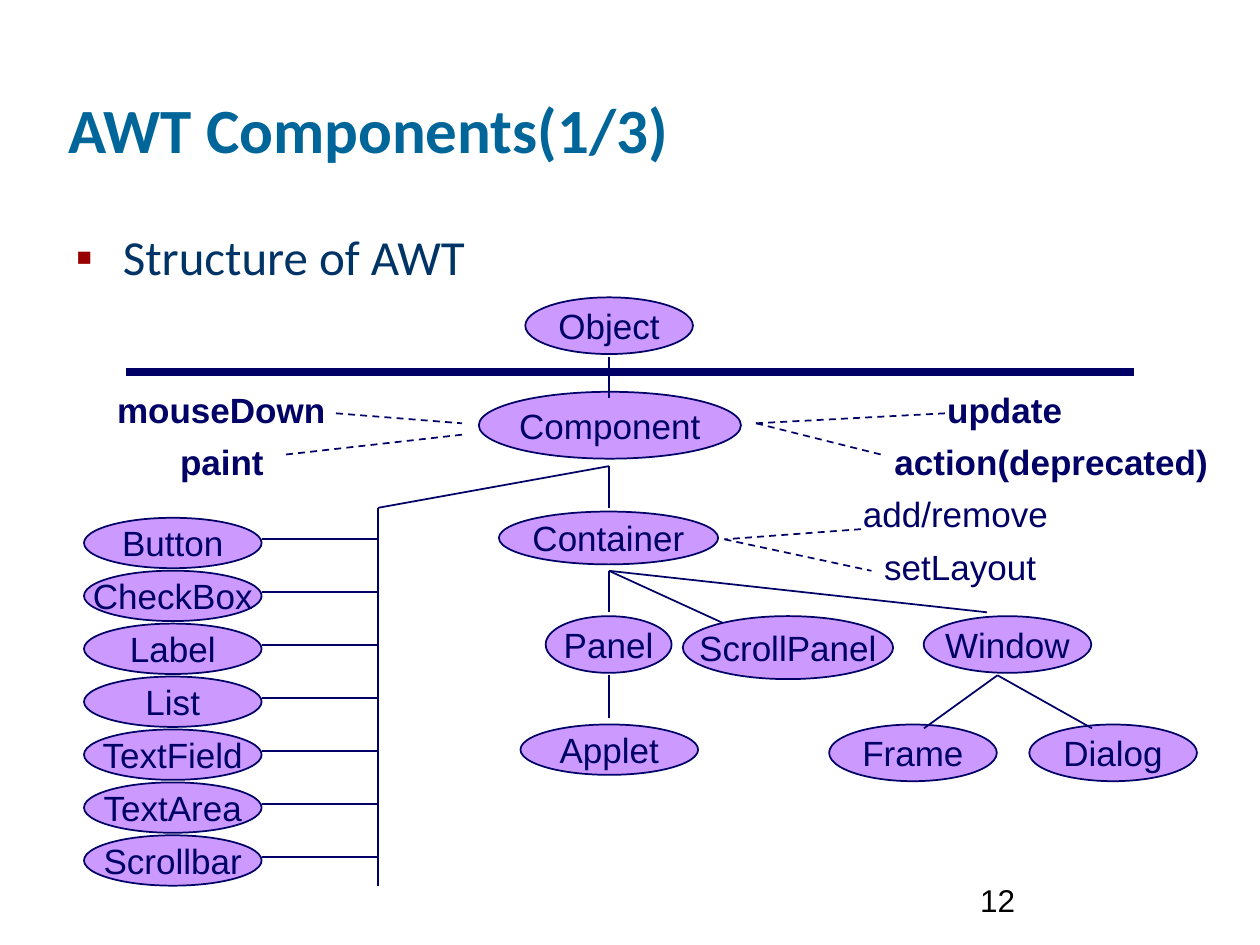
from lxml.etree import SubElement
from pptx import Presentation
from pptx.dml.color import RGBColor
from pptx.enum.dml import MSO_LINE_DASH_STYLE as Dash
from pptx.enum.shapes import MSO_CONNECTOR as Connector, MSO_SHAPE as Shape
from pptx.enum.text import MSO_ANCHOR as Anchor, MSO_AUTO_SIZE as AutoSize, PP_ALIGN as Align
from pptx.oxml.ns import qn
from pptx.util import Pt

NAVY, LILAC = "000066", "CC99FF"
AXIS = 348  # centre line of the class tree
TRUNK = 216  # vertical line beside the widgets

# name, left, top, width, height
CLASSES = [
    ("Component", 273.6, 223.9, 149.8, 38.2),
    ("Object", 300.2, 169.9, 95.8, 32.4),
    ("Container", 285.1, 292.3, 125.3, 30.2),
    ("Panel", 311.8, 352.1, 72, 32.4),
    ("Applet", 297.4, 414, 101.5, 28.8),
    ("ScrollPanel", 390.2, 352.1, 120.2, 36),
    ("Window", 527.8, 352.1, 95.8, 32.4),
    ("Dialog", 588.2, 414, 95.8, 32.4),
    ("Frame", 473.8, 414, 95.8, 32.4),
]
WIDGETS = ["Button", "CheckBox", "Label", "List", "TextField", "TextArea", "Scrollbar"]

# start x, start y, end x, end y
TREE_LINES = [
    (AXIS, 203.8, AXIS, 227.5),
    (AXIS, 266.4, AXIS, 290.2),
    (AXIS, 326.2, AXIS, 349.9),
    (AXIS, 385.9, AXIS, 410.4),
    (AXIS, 326.2, 564, 349.9),
    (570, 385.9, 528, 416.2),
    (570, 385.9, 624, 416.2),
    (AXIS, 266.4, TRUNK, 290.2),
    (TRUNK, 290.2, TRUNK, 506.2),
]
METHOD_LINES = [
    (192, 236.2, 264, 241.9),
    (264, 248.4, 162, 259.9),
    (432, 241.9, 540, 236.2),
    (432, 241.9, 504, 259.9),
    (492, 302.4, 414, 308.2),
    (414, 308.2, 498, 326.2),
]
# name, left, top, width, height, bold
METHODS = [
    ("mouseDown", 59.8, 218.2, 133.9, 31, True),
    ("paint", 95.8, 248.4, 62.6, 31, True),
    ("update", 534.2, 218.2, 79.9, 31, True),
    ("action(deprecated)", 504, 248.4, 193.7, 31, True),
    ("add/remove", 486, 277.9, 174.2, 31.7, False),
    ("setLayout", 498.2, 308.2, 149.8, 31.7, False),
]


def rgb(value):
    return RGBColor.from_string(value)


def write(shape, text, size=20, font="Arial", color=NAVY, bold=False,
          align=Align.LEFT, anchor=Anchor.TOP, wrap=False, fit=AutoSize.NONE):
    frame = shape.text_frame
    frame.word_wrap = wrap
    frame.auto_size = fit
    frame.vertical_anchor = anchor
    para = frame.paragraphs[0]
    para.alignment = align
    para.space_before = Pt(0)
    span = para.add_run()
    span.text = text
    span.font.size = Pt(size)
    span.font.name = font
    span.font.bold = bold
    span.font.color.rgb = rgb(color)


def place(shape, left, top, width, height):
    shape.left, shape.top = Pt(left), Pt(top)
    shape.width, shape.height = Pt(width), Pt(height)


def add_label(page, text, left, top, width, height, **style):
    box = page.shapes.add_textbox(Pt(left), Pt(top), Pt(width), Pt(height))
    write(box, text, **style)


def add_node(page, text, left, top, width, height):
    node = page.shapes.add_shape(Shape.OVAL, Pt(left), Pt(top), Pt(width), Pt(height))
    node.shadow.inherit = False
    node.fill.solid()
    node.fill.fore_color.rgb = rgb(LILAC)
    node.line.color.rgb = rgb(NAVY)
    node.line.width = Pt(1)
    write(node, text, align=Align.CENTER, anchor=Anchor.MIDDLE)


def add_line(page, start_x, start_y, end_x, end_y, width=1, dash=None):
    line = page.shapes.add_connector(
        Connector.STRAIGHT, Pt(start_x), Pt(start_y), Pt(end_x), Pt(end_y))
    line.line.color.rgb = rgb(NAVY)
    line.line.width = Pt(width)
    if dash:
        line.line.dash_style = dash
    SubElement(line._element.spPr, qn("a:effectLst"))


def add_bullet(para, char, color, indent):
    props = para._p.get_or_add_pPr()
    props.set("marL", str(Pt(indent)))
    props.set("indent", str(-Pt(indent)))
    SubElement(SubElement(props, qn("a:buClr")), qn("a:srgbClr"), val=color)
    SubElement(props, qn("a:buFont"), typeface="Arial")
    SubElement(props, qn("a:buChar"), char=char)


def add_widget_list(page):
    left, top, width, height, pitch = 48, 295.9, 101.5, 28.8, 30.24
    for index, name in enumerate(WIDGETS):
        y = top + index * pitch
        add_line(page, left + width, y + 12.3, TRUNK, y + 12.3)
        add_node(page, name, left, y, width, height)


def main():
    deck = Presentation()
    deck.slide_width, deck.slide_height = Pt(720), Pt(540)
    page = deck.slides.add_slide(deck.slide_layouts[1])

    title, body = page.placeholders
    place(title, 31.7, 8.6, 612, 90)
    write(title, "AWT Components(1/3)", size=36, font="Calibri", color="006699",
          bold=True, anchor=Anchor.BOTTOM, wrap=True)
    place(body, 36, 126, 643.7, 351.4)
    add_bullet(body.text_frame.paragraphs[0], "▪", "990000", 27)
    write(body, "Structure of AWT", size=28, font="Calibri", color="003366", wrap=True)

    add_line(page, AXIS, 326.2, 414, 356.4)  # runs behind ScrollPanel
    for node in CLASSES:
        add_node(page, *node)
    add_line(page, 72, 212.4, 648, 212.4, width=4.5)
    for line in TREE_LINES:
        add_line(page, *line)
    for line in METHOD_LINES:
        add_line(page, *line, dash=Dash.DASH)
    for *label, bold in METHODS:
        add_label(page, *label, bold=bold, fit=AutoSize.SHAPE_TO_FIT_TEXT)
    add_widget_list(page)

    add_label(page, "12", 553, 492.5, 149.8, 36, size=18, color="000000",
              anchor=Anchor.BOTTOM, wrap=True)
    deck.save("out.pptx")


if __name__ == "__main__":
    main()
